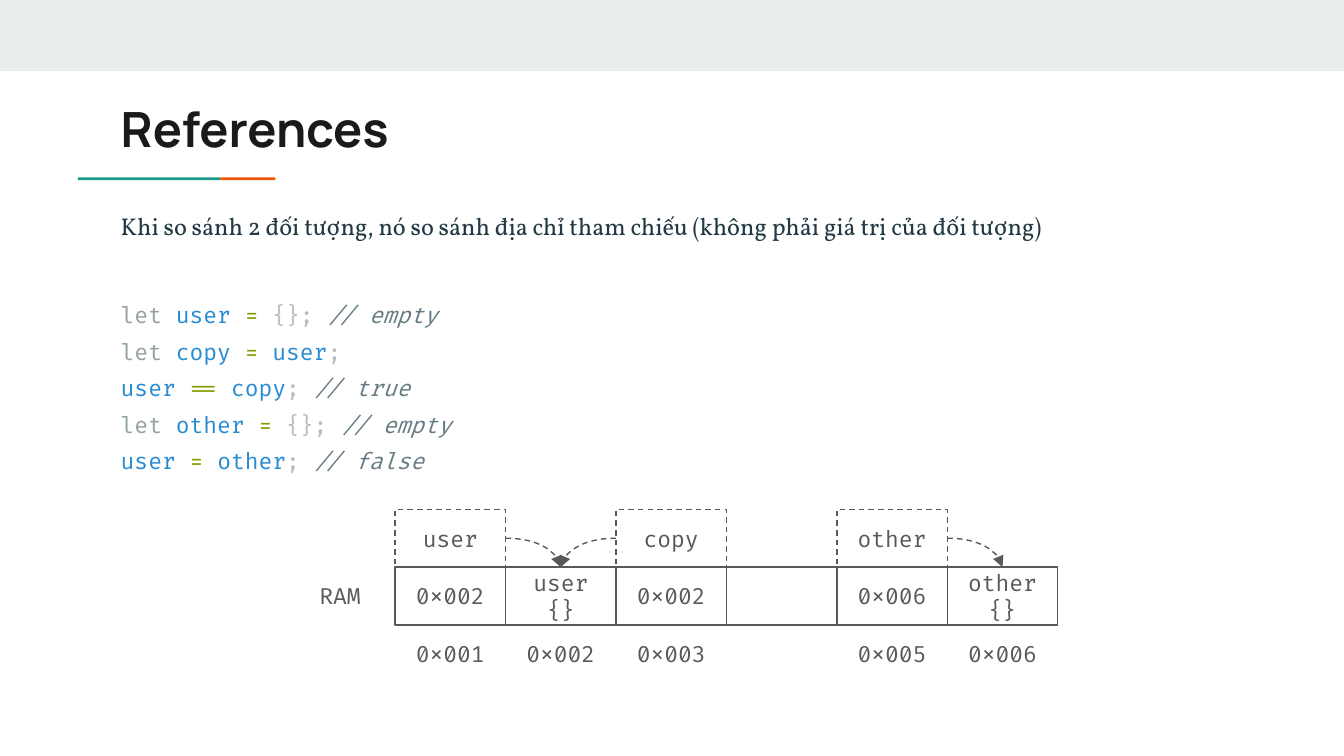
from lxml import etree
from pptx import Presentation
from pptx.dml.color import RGBColor
from pptx.enum.dml import MSO_LINE_DASH_STYLE as Dash
from pptx.enum.shapes import MSO_CONNECTOR as Connector, MSO_SHAPE as Shape
from pptx.enum.text import MSO_ANCHOR as Anchor, PP_ALIGN as Align
from pptx.oxml.ns import qn
from pptx.util import Inches, Pt

# Content
TITLE = "References"
BODY = "Khi so sánh 2 đối tượng, nó so sánh địa chỉ tham chiếu (không phải giá trị của đối tượng)"
CODE = [
    [("let ", "keyword"), ("user ", "name"), ("=", "operator"), (" {}; ", "mark"), ("// empty", "comment")],
    [("let ", "keyword"), ("copy ", "name"), ("= ", "operator"), ("user", "name"), (";", "mark")],
    [("user ", "name"), ("== ", "operator"), ("copy", "name"), ("; ", "mark"), ("// true", "comment")],
    [("let ", "keyword"), ("other ", "name"), ("=", "operator"), (" {}; ", "mark"), ("// empty", "comment")],
    [("user ", "name"), ("= ", "operator"), ("other", "name"), ("; ", "mark"), ("// false", "comment")],
]
# Memory columns: variable name, stored value, address
MEMORY = [
    ("user", "0x002", "0x001"),
    ("", "user {}", "0x002"),
    ("copy", "0x002", "0x003"),
    ("", "", ""),
    ("other", "0x006", "0x005"),
    ("", "other {}", "0x006"),
]
REFERENCES = [(0, 1), (2, 1), (4, 5)]  # from variable column to object column

# Format
COLORS = {
    "band": "E9EDEE", "teal": "1A9988", "orange": "EB5600",
    "title": "1A1A1A", "body": "233A44", "diagram": "595959",
    "keyword": "93A1A1", "name": "268BD2", "operator": "859900",
    "mark": "BBBBBB", "comment": "657B83",
}
FONTS = {
    "title": {"name": "Manrope", "size": Pt(26), "bold": True},
    "body": {"name": "Vollkorn", "size": Pt(13)},
    "code": {"name": "Fira Code", "size": Pt(12)},
}
WIDTH = 10
HEIGHT = WIDTH * 9 / 16
MARGIN = 0.1
LEFT, RIGHT = 2.94, 7.87
COL = (RIGHT - LEFT) / len(MEMORY)
ROW = 0.43
CELL_TOP = 4.22

deck = Presentation()
deck.slide_width, deck.slide_height = Inches(WIDTH), Inches(HEIGHT)
page = deck.slides.add_slide(deck.slide_layouts[6])


def color(key):
    return RGBColor.from_string(COLORS[key])


def add_span(para, text, font, key, italic=False):
    span = para.add_run()
    span.text = text
    for field, value in {**FONTS[font], "italic": italic}.items():
        setattr(span.font, field, value)
    span.font.color.rgb = color(key)


def set_frame(box, anchor=Anchor.TOP):
    frame = box.text_frame
    frame.word_wrap = True
    frame.vertical_anchor = anchor
    for side in ("left", "right", "top", "bottom"):
        setattr(frame, f"margin_{side}", Inches(MARGIN))
    return frame


def add_text(area):
    return set_frame(page.shapes.add_textbox(*map(Inches, area)))


def add_bar(area, key):
    bar = page.shapes.add_shape(Shape.RECTANGLE, *map(Inches, area))
    bar.shadow.inherit = False
    bar.fill.solid()
    bar.fill.fore_color.rgb = color(key)
    bar.line.fill.background()


def set_line(line, dashed):
    line.color.rgb = color("diagram")
    line.width = Pt(0.75)
    if dashed:
        line.dash_style = Dash.DASH


def add_cell(column, row, text, border=None):
    """Row -1 is above the memory cells, row 1 below; border is solid or dash."""
    area = [Inches(n) for n in (LEFT + column * COL, CELL_TOP + row * ROW, COL, ROW)]
    if border:
        box = page.shapes.add_shape(Shape.RECTANGLE, *area)
        box.shadow.inherit = False
        box.fill.background()
        set_line(box.line, border == "dash")
    else:
        box = page.shapes.add_textbox(*area)
    if text:
        para = set_frame(box, Anchor.MIDDLE).paragraphs[0]
        para.alignment = Align.CENTER
        add_span(para, text, "code", "diagram")
    return box


def add_curve(start, end):
    curve = page.shapes.add_connector(Connector.CURVE, 0, 0, 0, 0)
    curve.begin_connect(start, 1 if start.left > end.left else 3)
    curve.end_connect(end, 0)
    set_line(curve.line, True)
    props = curve._element.spPr
    props.find(qn("a:prstGeom")).set("prst", "curvedConnector2")
    etree.SubElement(props.find(qn("a:ln")), qn("a:tailEnd"), type="triangle")
    etree.SubElement(props, qn("a:effectLst"))


# Top band and the two-colour rule under the title
add_bar((0, 0, WIDTH, 0.53), "band")
add_bar((0.58, 1.32, 1.06, 0.02), "teal")
add_bar((1.64, 1.32, 0.41, 0.02), "orange")

# Sentence and title
sentence = add_text((0.8, 1.44, 8.41, 3.92)).paragraphs[0]
sentence.line_spacing = 1.15
add_span(sentence, BODY, "body", "body")
add_span(add_text((0.8, 0.64, 8.41, 0.59)).paragraphs[0], TITLE, "title", "title")

# Code
code = add_text((0.8, 2.07, 3.28, 3.28))
for number, tokens in enumerate(CODE):
    para = code.add_paragraph() if number else code.paragraphs[0]
    para.line_spacing = 1.36
    for text, kind in tokens:
        add_span(para, text, "code", kind, italic=kind == "comment")

# Memory diagram
add_cell(-1, 0, "RAM")
variables, cells = {}, {}
for column, (variable, value, address) in enumerate(MEMORY):
    cells[column] = add_cell(column, 0, value, "solid")
    if variable:
        variables[column] = add_cell(column, -1, variable, "dash")
    if address:
        add_cell(column, 1, address)

for source, target in REFERENCES:
    add_curve(variables[source], cells[target])

deck.save("out.pptx")
